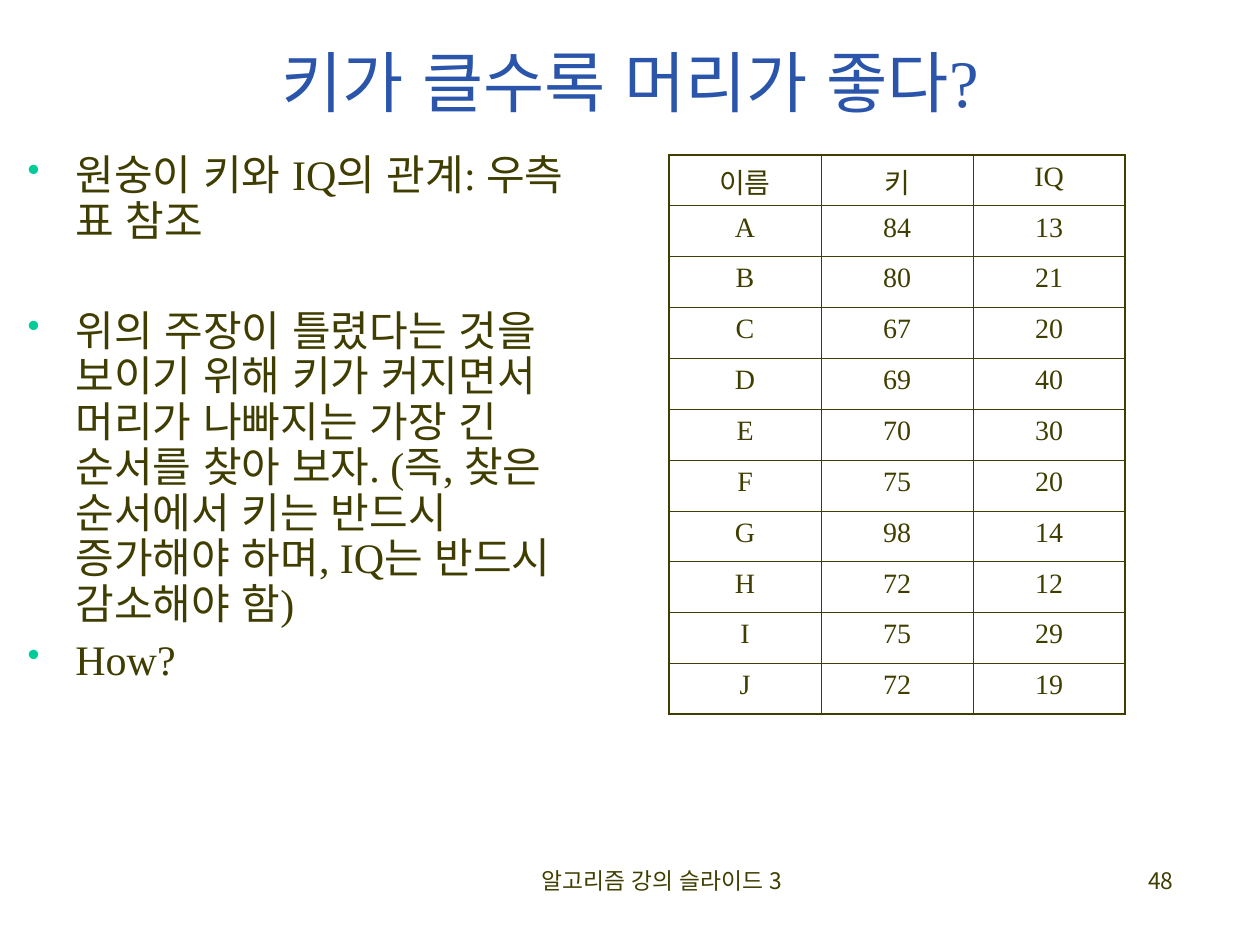
from lxml import etree
from pptx import Presentation
from pptx import util as u
from pptx.dml.color import RGBColor
from pptx.enum import lang, text
from pptx.oxml import ns

OLIVE = RGBColor(0x3F, 0x3E, 0x00)
BLUE = RGBColor(0x2A, 0x55, 0xAA)
GREEN = RGBColor(0x00, 0xCC, 0x99)
SERIF = "Times New Roman"
KOREAN = "Noto Sans CJK KR"
CENTER = text.PP_ALIGN.CENTER
INNER_LINE, OUTER_LINE = 0.45, 1.08

BULLETS = [
    ("원숭이 키와 IQ의 관계: 우측 표 참조", 0),
    ("위의 주장이 틀렸다는 것을 보이기 위해 키가 커지면서 머리가 나빠지는 "
     "가장 긴 순서를 찾아 보자. (즉, 찾은 순서에서 키는 반드시 증가해야 하며, "
     "IQ는 반드시 감소해야 함)", 37),
    ("How?", 6),
]
HEADINGS = ("이름", "키", "IQ")
MONKEYS = [
    ("A", 84, 13), ("B", 80, 21), ("C", 67, 20), ("D", 69, 40), ("E", 70, 30),
    ("F", 75, 20), ("G", 98, 14), ("H", 72, 12), ("I", 75, 29), ("J", 72, 19),
]


def add_element(parent, tag, **attributes):
    return etree.SubElement(parent, ns.qn(tag), attributes)


def write(para, words, size=16, font=SERIF, color=OLIVE, align=None):
    """Put one formatted run in a paragraph."""
    para.alignment = align
    span = para.add_run()
    span.text = words
    span.font.size = u.Pt(size)
    span.font.name = font
    span.font.color.rgb = color
    span.font.language_id = lang.MSO_LANGUAGE_ID.KOREAN
    add_element(span.font._element, "a:ea", typeface=KOREAN)


def add_box(page, left, top, width, height, anchor=text.MSO_ANCHOR.TOP):
    box = page.shapes.add_textbox(*map(u.Inches, (left, top, width, height)))
    box.text_frame.word_wrap = True
    box.text_frame.vertical_anchor = anchor
    return box.text_frame


def add_bullet(para, indent=0.38):
    properties = para._p.get_or_add_pPr()
    properties.set("marL", str(u.Inches(indent)))
    properties.set("indent", str(u.Inches(-indent)))
    color = add_element(properties, "a:buClr")
    add_element(color, "a:srgbClr", val=str(GREEN))
    add_element(properties, "a:buSzPct", val="85000")
    add_element(properties, "a:buChar", char="•")


def add_bullet_list(page):
    frame = add_box(page, 0.12, 1.17, 4.75, 4.5)
    frame.margin_right = u.Inches(0.18)
    for index, (words, gap) in enumerate(BULLETS):
        para = frame.add_paragraph() if index else frame.paragraphs[0]
        add_bullet(para)
        para.line_spacing = u.Pt(26)
        para.space_before = u.Pt(gap)
        write(para, words, size=24)


def set_borders(cell, **widths):
    properties = cell._tc.get_or_add_tcPr()
    for position, (side, width) in enumerate(widths.items()):
        line = etree.Element(ns.qn(f"a:ln{side}"), w=str(u.Pt(width)))
        fill = add_element(line, "a:solidFill")
        add_element(fill, "a:srgbClr", val=str(OLIVE))
        properties.insert(position, line)


def add_monkey_table(page):
    rows = [HEADINGS, *MONKEYS]
    last_row, last_column = len(rows) - 1, len(HEADINGS) - 1
    table = page.shapes.add_table(
        len(rows), len(HEADINGS), u.Inches(5.31), u.Inches(1.23),
        u.Inches(3.62), u.Inches(4.44)).table
    table.first_row = table.horz_banding = False

    def line_width(is_edge):
        return OUTER_LINE if is_edge else INNER_LINE

    for r, row in enumerate(rows):
        for c, value in enumerate(row):
            cell = table.cell(r, c)
            write(cell.text_frame.paragraphs[0], str(value), align=CENTER)
            cell.fill.background()
            set_borders(cell, L=line_width(c == 0), R=line_width(c == last_column),
                        T=line_width(r == 0), B=line_width(r == last_row))


def main():
    deck = Presentation()
    deck.slide_width, deck.slide_height = u.Inches(10), u.Inches(7.5)
    page = deck.slides.add_slide(deck.slide_layouts[6])

    # Footer and page number
    footer = add_box(page, 3.67, 6.83, 3.17, 0.5)
    write(footer.paragraphs[0], "알고리즘 강의 슬라이드 3", size=13, font=KOREAN,
          align=CENTER)
    number = add_box(page, 7.33, 6.83, 2.08, 0.5)
    write(number.paragraphs[0], "48", size=13, font=KOREAN,
          align=text.PP_ALIGN.RIGHT)

    # Title
    title = add_box(page, 0.75, 0.28, 8.5, 0.72, text.MSO_ANCHOR.MIDDLE)
    write(title.paragraphs[0], "키가 클수록 머리가 좋다?", size=38, color=BLUE,
          align=CENTER)

    # Body
    add_bullet_list(page)
    add_monkey_table(page)
    deck.save("out.pptx")


if __name__ == "__main__":
    main()
